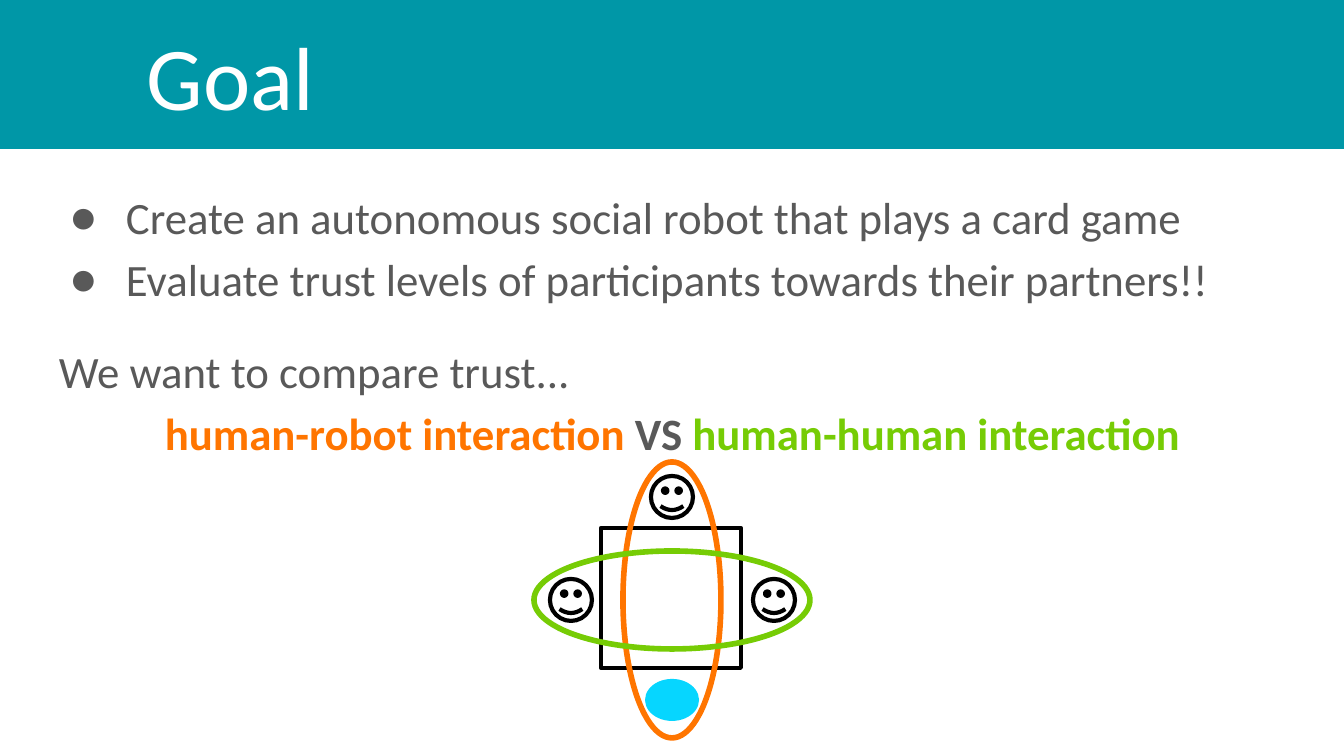
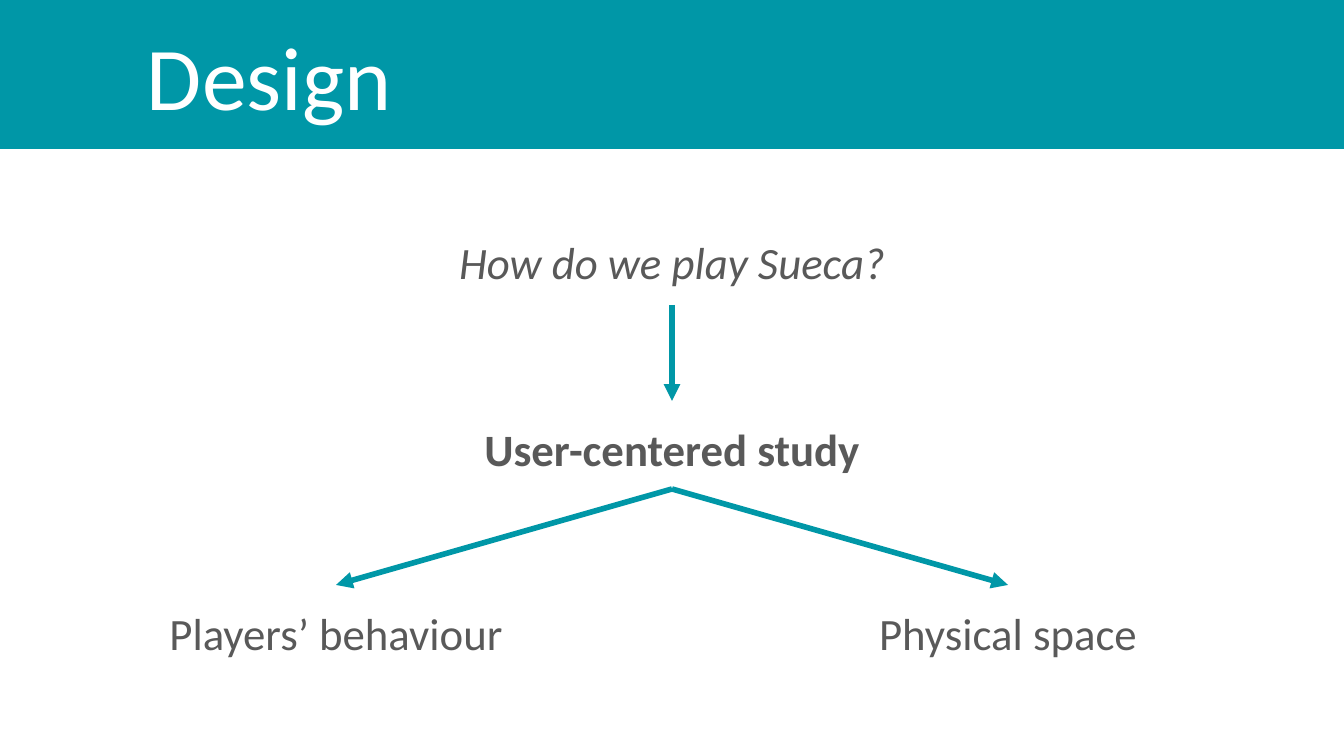
from lxml.etree import SubElement
from pptx import Presentation
from pptx.dml.color import RGBColor
from pptx.enum.shapes import MSO_CONNECTOR, MSO_SHAPE
from pptx.enum.text import MSO_ANCHOR, PP_ALIGN
from pptx.oxml.ns import qn
from pptx.util import Emu, Pt

COLORS = {"teal": "0097A7", "white": "FFFFFF", "gray": "595959", "black": "000000",
          "orange": "FF7500", "green": "76CC05", "cyan": "06D6FF"}
FONT = "Calibri"
WIDTH, HEIGHT, BAND = 1344, 756, 149
CENTER = WIDTH // 2

# Goal slide: paragraphs of (text, style) runs with their layout
GOAL_TEXT = [
    {"runs": [("Create an autonomous social robot that plays a card game", {})], "bullet": True},
    {"runs": [("Evaluate trust levels of participants towards their partners!!", {})],
     "bullet": True},
    {"runs": [("We want to compare trust...", {})], "before": 16},
    {"runs": [("human-robot interaction", {"color": "orange", "bold": True}),
              (" VS ", {"bold": True}),
              ("human-human interaction", {"color": "green", "bold": True})],
     "align": PP_ALIGN.CENTER},
]
TABLE_SIDE, TABLE_CENTER = 140, (671, 598)
FACE_SIZE = 42
FACE_CENTERS = [(571, 600), (774, 600), (CENTER, 497)]
PAIR_SIZE, PAIR_CENTER = (98, 276), (CENTER, 600)
PAIRS = [("orange", 0), ("green", 270)]
ROBOT_CENTER, ROBOT_SIZE = (CENTER, 700), (54, 42)

# Design slide: (text, style, box, anchor, space after) and arrows
DESIGN_LABELS = [
    ("How do we play Sueca?", {"italic": True}, (0, 210, WIDTH, 95), MSO_ANCHOR.MIDDLE, 0),
    ("User-centered study", {"bold": True}, (0, 401, WIDTH, 88), MSO_ANCHOR.TOP, 16),
    ("Players’ behaviour", {}, (0, 585, CENTER, 88), MSO_ANCHOR.TOP, 16),
    ("Physical space", {}, (CENTER, 585, CENTER, 88), MSO_ANCHOR.TOP, 16),
]
ARROWS = [
    ((CENTER, 305), (CENTER, 401)),
    ((CENTER, 489), (CENTER // 2, 585)),
    ((CENTER, 489), (CENTER * 3 // 2, 585)),
]


def px(length):
    return Emu(round(length * 914400 / 134.4))


def rgb(name):
    return RGBColor.from_string(COLORS[name])


def add_span(para, text, size=24, color="gray", bold=None, italic=None):
    span = para.add_run()
    span.text = text
    font = span.font
    font.name, font.size, font.bold, font.italic = FONT, Pt(size), bold, italic
    font.color.rgb = rgb(color)


def indent(para, left, first=0):
    properties = para._p.get_or_add_pPr()
    properties.set("marL", str(px(left)))
    properties.set("indent", str(px(first)))
    return properties


def add_bullet(para):
    properties = indent(para, 67, -56)
    color = SubElement(properties, qn("a:buClr"))
    SubElement(color, qn("a:srgbClr"), val=COLORS["gray"])
    SubElement(properties, qn("a:buFont"), typeface=FONT)
    SubElement(properties, qn("a:buChar"), char="●")


def set_frame(box, anchor):
    frame = box.text_frame
    frame.word_wrap = True
    frame.vertical_anchor = anchor
    frame.margin_left = frame.margin_right = px(13)
    frame.margin_top = frame.margin_bottom = px(13)
    return frame


def add_text(page, bounds, paragraphs, anchor=MSO_ANCHOR.TOP):
    frame = set_frame(page.shapes.add_textbox(*map(px, bounds)), anchor)
    for number, item in enumerate(paragraphs):
        para = frame.add_paragraph() if number else frame.paragraphs[0]
        para.alignment = item.get("align", PP_ALIGN.LEFT)
        para.line_spacing = 1.15
        para.space_before = Pt(item.get("before", 0))
        para.space_after = Pt(item.get("after", 0))
        if item.get("bullet"):
            add_bullet(para)
        for text, style in item["runs"]:
            add_span(para, text, **style)


def add_figure(page, kind, center, size, fill=None, line=None, weight=2.25):
    left, top = (middle - side / 2 for middle, side in zip(center, size))
    shape = page.shapes.add_shape(kind, *map(px, (left, top, *size)))
    shape.shadow.inherit = False
    if fill:
        shape.fill.solid()
        shape.fill.fore_color.rgb = rgb(fill)
    else:
        shape.fill.background()
    if line:
        shape.line.color.rgb = rgb(line)
        shape.line.width = Pt(weight)
    else:
        shape.line.fill.background()
    return shape


def add_title(page, title):
    band = add_figure(page, MSO_SHAPE.RECTANGLE, (CENTER, BAND / 2), (WIDTH, BAND), fill="teal")
    para = set_frame(band, MSO_ANCHOR.MIDDLE).paragraphs[0]
    para.alignment = PP_ALIGN.LEFT
    indent(para, 134)
    add_span(para, title, size=48, color="white")


def add_arrow(page, start, end):
    arrow = page.shapes.add_connector(MSO_CONNECTOR.STRAIGHT, *map(px, (*start, *end)))
    arrow.line.color.rgb = rgb("teal")
    arrow.line.width = Pt(3)
    SubElement(arrow.line._get_or_add_ln(), qn("a:tailEnd"), type="triangle")
    SubElement(arrow._element.spPr, qn("a:effectLst"))


def add_page(deck):
    page = deck.slides.add_slide(deck.slide_layouts[6])
    page.background.fill.solid()
    page.background.fill.fore_color.rgb = rgb("white")
    return page


def build_goal(deck):
    page = add_page(deck)
    add_text(page, (46, 169, 1253, 195), GOAL_TEXT)
    add_title(page, "Goal")
    # Players around the card table
    add_figure(page, MSO_SHAPE.RECTANGLE, TABLE_CENTER, (TABLE_SIDE, TABLE_SIDE), line="black")
    for center in FACE_CENTERS:
        add_figure(page, MSO_SHAPE.SMILEY_FACE, center, (FACE_SIZE, FACE_SIZE), line="black")
    # Partner pairs and the robot
    for color, angle in PAIRS:
        pair = add_figure(page, MSO_SHAPE.FLOWCHART_CONNECTOR, PAIR_CENTER, PAIR_SIZE,
                          line=color, weight=3)
        pair.rotation = angle
    add_figure(page, MSO_SHAPE.OVAL, ROBOT_CENTER, ROBOT_SIZE, fill="cyan")


def build_design(deck):
    page = add_page(deck)
    add_title(page, "Design")
    for text, style, bounds, anchor, after in DESIGN_LABELS:
        item = {"runs": [(text, style)], "align": PP_ALIGN.CENTER, "after": after}
        add_text(page, bounds, [item], anchor)
    for start, end in ARROWS:
        add_arrow(page, start, end)


def main():
    deck = Presentation()
    deck.slide_width, deck.slide_height = px(WIDTH), px(HEIGHT)
    build_goal(deck)
    build_design(deck)
    deck.save("out.pptx")


if __name__ == "__main__":
    main()
